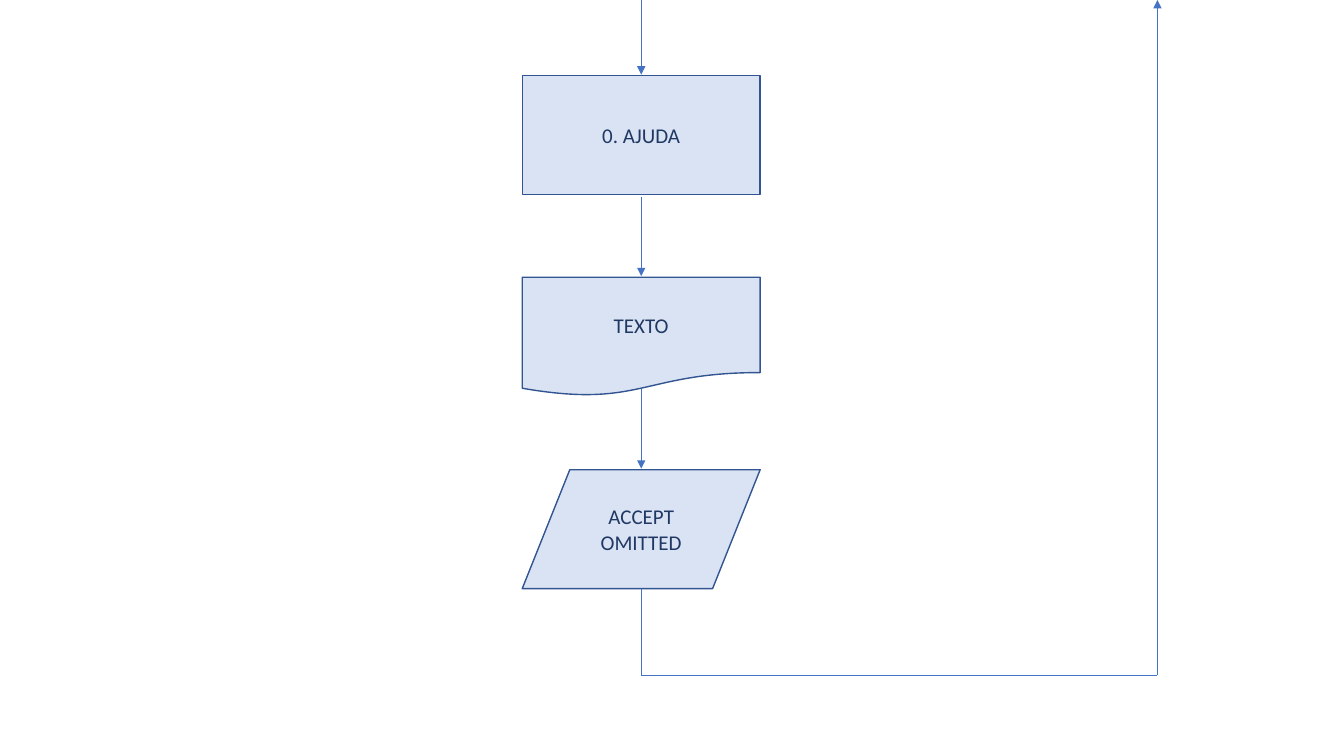
from lxml.etree import SubElement
from pptx import Presentation
from pptx.dml.color import RGBColor
from pptx.enum.shapes import MSO_CONNECTOR, MSO_SHAPE
from pptx.enum.text import MSO_ANCHOR, PP_ALIGN
from pptx.oxml.ns import qn
from pptx.util import Inches, Pt


def color(hex_code):
    return RGBColor.from_string(hex_code)


prs = Presentation()
prs.slide_width, prs.slide_height = Inches(13.33), Inches(7.5)
slide = prs.slides.add_slide(prs.slide_layouts[6])

# Flowchart steps
STEP_LEFT, STEP_WIDTH, STEP_HEIGHT = 5.18, 2.36, 1.18
steps = [
    ("0. AJUDA", MSO_SHAPE.RECTANGLE, 0.75),
    ("TEXTO", MSO_SHAPE.FLOWCHART_DOCUMENT, 2.75),
    ("ACCEPT OMITTED", MSO_SHAPE.FLOWCHART_DATA, 4.66),
]
for label, outline, top in steps:
    step = slide.shapes.add_shape(outline, Inches(STEP_LEFT), Inches(top),
                                  Inches(STEP_WIDTH), Inches(STEP_HEIGHT))
    step.shadow.inherit = False
    step.fill.solid()
    step.fill.fore_color.rgb = color("DAE3F3")
    step.line.color.rgb = color("325491")
    step.line.width = Pt(1)
    frame = step.text_frame
    frame.word_wrap = True
    frame.vertical_anchor = MSO_ANCHOR.MIDDLE
    paragraph = frame.paragraphs[0]
    paragraph.text = label
    paragraph.alignment = PP_ALIGN.CENTER
    paragraph.font.name = "Calibri"
    paragraph.font.size = Pt(15)
    paragraph.font.color.rgb = color("203864")

# Flow down through the steps, then back up along the right side
FLOW_X, RETURN_X, RETURN_Y = 6.36, 11.48, 6.7
flows = [
    (FLOW_X, 0, FLOW_X, 0.74, True),
    (FLOW_X, 1.95, FLOW_X, 2.74, True),
    (FLOW_X, 3.86, FLOW_X, 4.65, True),
    (FLOW_X, 5.84, FLOW_X, RETURN_Y, False),
    (FLOW_X, RETURN_Y, RETURN_X, RETURN_Y, False),
    (RETURN_X, RETURN_Y, RETURN_X, 0, True),
]
for x1, y1, x2, y2, has_arrow in flows:
    flow = slide.shapes.add_connector(MSO_CONNECTOR.STRAIGHT, Inches(x1), Inches(y1),
                                      Inches(x2), Inches(y2))
    flow.line.color.rgb = color("4472C4")
    flow.line.width = Pt(0.5)
    if has_arrow:
        SubElement(flow.line._get_or_add_ln(), qn("a:tailEnd"), type="triangle")
    SubElement(flow._element.spPr, qn("a:effectLst"))

prs.save("out.pptx")
